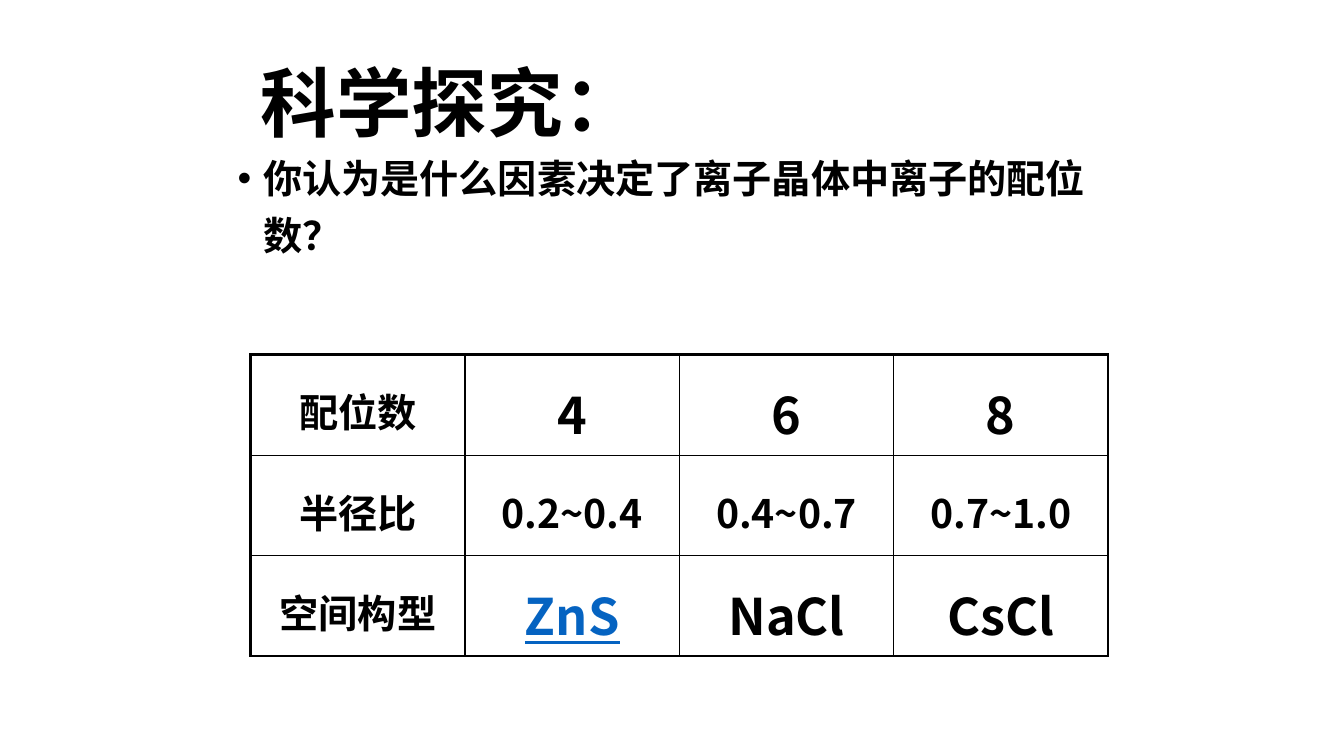
from lxml.etree import SubElement
from pptx import Presentation
from pptx.dml.color import RGBColor
from pptx.enum.text import MSO_ANCHOR, PP_ALIGN
from pptx.oxml.ns import qn
from pptx.util import Cm, Pt

TITLE = "科学探究："
QUESTION = "你认为是什么因素决定了离子晶体中离子的配位数？"
ROWS = [
    ("配位数", "4", "6", "8"),
    ("半径比", "0.2~0.4", "0.4~0.7", "0.7~1.0"),
    ("空间构型", "ZnS", "NaCl", "CsCl"),
]
LARGE_ROWS = (0, 2)
LINK_TEXT = "ZnS"
COLORS = {"text": "000000", "link": "0563C1", "border": "000000"}
FONT = "Noto Sans CJK SC"
TITLE_FONT = "Calibri"
TABLE_LEFT, TABLE_TOP = Cm(6.32), Cm(8.94)
COLUMN_WIDTH, ROW_HEIGHT = Cm(5.4), Cm(2.53)
OUTER_LINE, INNER_LINE = Pt(2.25), Pt(1)


def write(text_frame, text, size, font_name=FONT, color="text", line_spacing=1.2):
    paragraph = text_frame.paragraphs[0]
    paragraph.text = text
    paragraph.line_spacing = line_spacing
    run = paragraph.runs[0]
    font = run.font
    font.name, font.size, font.bold = font_name, Pt(size), True
    font.color.rgb = RGBColor.from_string(COLORS[color])
    if font_name == FONT:
        east_asian = SubElement(run.font._element, qn("a:ea"))
        east_asian.set("typeface", FONT)
    return paragraph


def add_text_frame(slide, left, top, width, height, anchor):
    text_frame = slide.shapes.add_textbox(left, top, width, height).text_frame
    text_frame.word_wrap = True
    text_frame.vertical_anchor = anchor
    return text_frame


def add_bullet(paragraph, indent):
    properties = paragraph._p.get_or_add_pPr()
    properties.set("marL", str(indent))
    properties.set("indent", str(-indent))
    SubElement(properties, qn("a:buFont")).set("typeface", "Arial")
    SubElement(properties, qn("a:buChar")).set("char", "•")


def set_borders(cell, widths):
    """Draw the cell's lines; widths maps L, R, T and B to line widths."""
    properties = cell._tc.get_or_add_tcPr()
    for position, (side, width) in enumerate(widths.items()):
        line = SubElement(properties, qn(f"a:ln{side}"), w=str(width))
        fill = SubElement(line, qn("a:solidFill"))
        SubElement(fill, qn("a:srgbClr"), val=COLORS["border"])
        properties.insert(position, line)


def add_ion_table(slide):
    row_count, column_count = len(ROWS), len(ROWS[0])
    table = slide.shapes.add_table(
        row_count, column_count, TABLE_LEFT, TABLE_TOP,
        COLUMN_WIDTH * column_count, ROW_HEIGHT * row_count,
    ).table
    table.first_row = table.horz_banding = False
    for column in table.columns:
        column.width = COLUMN_WIDTH
    for row_index, labels in enumerate(ROWS):
        table.rows[row_index].height = ROW_HEIGHT
        for column_index, label in enumerate(labels):
            cell = table.cell(row_index, column_index)
            cell.vertical_anchor = MSO_ANCHOR.MIDDLE
            cell.fill.background()
            large = row_index in LARGE_ROWS and column_index > 0
            is_link = label == LINK_TEXT
            paragraph = write(cell.text_frame, label, 36 if large else 28,
                              color="link" if is_link else "text")
            paragraph.alignment = PP_ALIGN.CENTER
            paragraph.runs[0].font.underline = is_link
            outer_sides = {
                "L": column_index == 0,
                "R": column_index == column_count - 1,
                "T": row_index == 0,
                "B": row_index == row_count - 1,
            }
            set_borders(cell, {side: OUTER_LINE if outer else INNER_LINE
                               for side, outer in outer_sides.items()})


def main():
    presentation = Presentation()
    presentation.slide_width, presentation.slide_height = Cm(33.87), Cm(19.05)
    slide = presentation.slides.add_slide(presentation.slide_layouts[6])

    title_frame = add_text_frame(slide, Cm(6.32), Cm(1.32), Cm(21.6), Cm(2.74),
                                 MSO_ANCHOR.MIDDLE)
    write(title_frame, TITLE, 54, TITLE_FONT, line_spacing=0.9)

    question_frame = add_text_frame(slide, Cm(5.74), Cm(3.53), Cm(22.2), Cm(3.66),
                                    MSO_ANCHOR.TOP)
    add_bullet(write(question_frame, QUESTION, 28), Cm(0.64))

    add_ion_table(slide)
    presentation.save("out.pptx")


if __name__ == "__main__":
    main()
